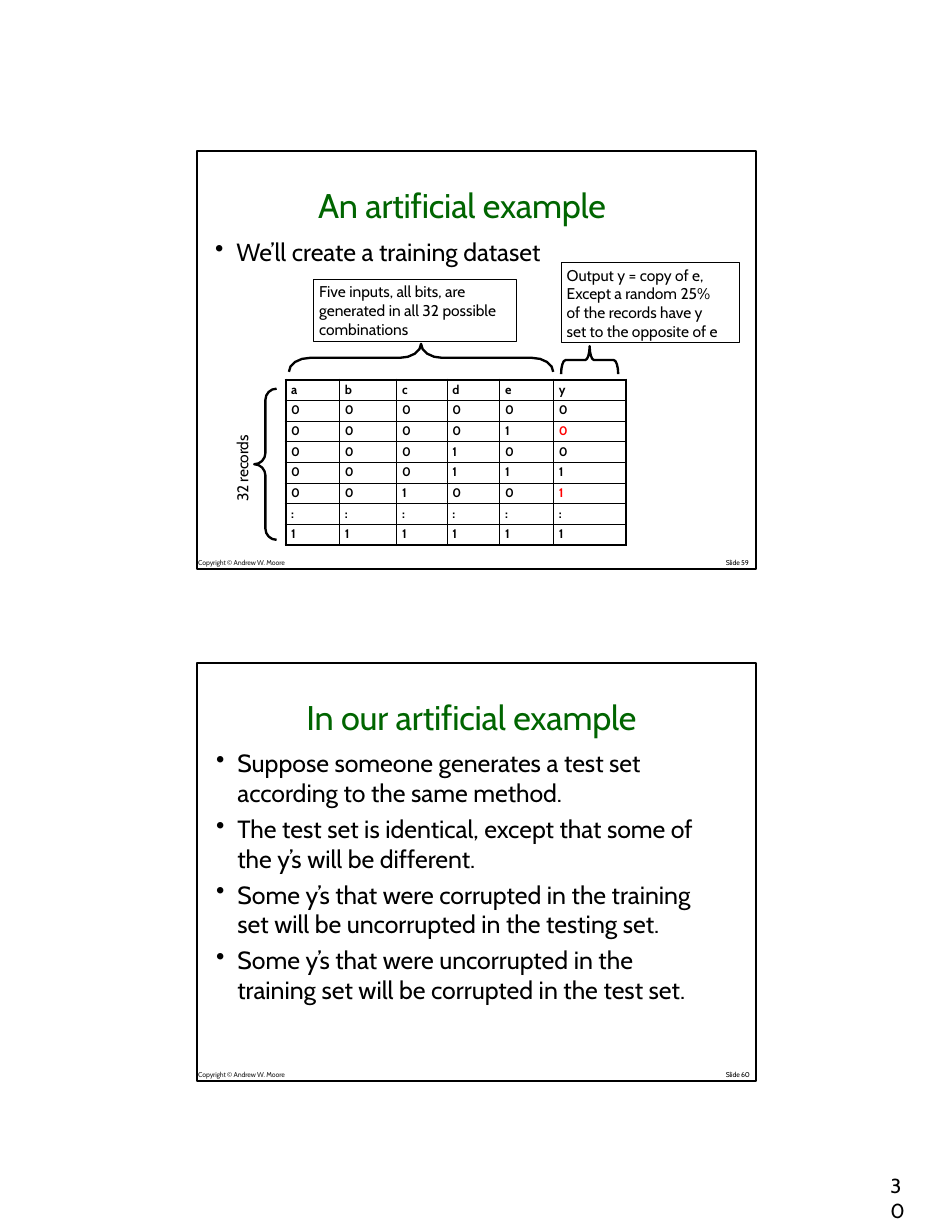
import math
import pptx
import pptx.util
import pptx.dml.color
import pptx.enum.shapes
import pptx.oxml
import pptx.oxml.ns

Inches = pptx.util.Inches
Pt = pptx.util.Pt
hue = pptx.dml.color.RGBColor.from_string
qn = pptx.oxml.ns.qn
ns = pptx.oxml.ns.nsdecls("a")


def write(para, text, size, color="000000", left=0, bullet=False, bold=False, space=0):
    props = para._p.get_or_add_pPr()
    props.set("marL", str(Inches(left)))
    props.set("indent", str(-Inches(0.19) if bullet else 0))
    if bullet:
        props.append(pptx.oxml.parse_xml(f'<a:buChar {ns} char="•"/>'))
    for i, line in enumerate(text.split("\n")):
        if i:
            para.add_line_break()
        run = para.add_run()
        run.text = line
        run.font.name = "Cabin"
        run.font.size = Pt(size)
        run.font.bold = bold
        run.font.color.rgb = hue(color)
        if space:
            run._r.get_or_add_rPr().set("spc", str(space))


def box(left, top, width, height, inset=0.01, line=0):
    kind = pptx.enum.shapes.MSO_SHAPE.RECTANGLE
    area = [Inches(v) for v in (left, top, width, height)]
    if line:
        shape = shapes.add_shape(kind, *area)
        shape.shadow.inherit = False
        shape.fill.background()
        shape.line.color.rgb = hue("000000")
        shape.line.width = Pt(line)
    else:
        shape = shapes.add_textbox(*area)
    frame = shape.text_frame
    frame.word_wrap = True
    frame.vertical_anchor = pptx.enum.text.MSO_ANCHOR.TOP
    frame.margin_left = frame.margin_right = frame.margin_bottom = 0
    frame.margin_top = Inches(inset)
    frame.paragraphs[0].alignment = pptx.enum.text.PP_ALIGN.LEFT
    return frame


deck = pptx.Presentation()
deck.slide_width = Inches(8.5)
deck.slide_height = Inches(11)
shapes = deck.slides.add_slide(deck.slide_layouts[6]).shapes

for top, page in ((1.35, 59), (5.92, 60)):
    box(1.76, top, 4.99, 3.73, line=1.02)
    foot = box(1.77, top + 3.63, 0.89, 0.1)
    write(foot.paragraphs[0], "Copyright © Andrew W. Moore", 4.5, "1B1B1B", space=-10)
    foot = box(6.48, top + 3.63, 0.25, 0.1)
    write(foot.paragraphs[0], f"Slide {page}", 4.5, space=-10)

title = box(2.83, 1.64, 2.75, 0.4)
write(title.paragraphs[0], "An artificial example", 22, "006500", 0.01, space=-10)
intro = box(1.91, 2.1, 3.15, 0.3)
write(intro.paragraphs[0], "We’ll create a training dataset", 16, left=0.2, bullet=True)

rows = ["abcdey", "000000", "000010", "000100", "000111", "001001", "::::::", "111111"]
wides = [0.48, 0.51, 0.45, 0.47, 0.48, 0.65]
red = {(2, 5), (5, 5)}
grid = shapes.add_table(
    len(rows), len(wides), Inches(2.55), Inches(3.39), Inches(sum(wides)), Inches(1.48)
).table
for c, wide in enumerate(wides):
    grid.columns[c].width = Inches(wide)
for r, row in enumerate(rows):
    for c, mark in enumerate(row):
        cell = grid.cell(r, c)
        cell.margin_left = cell.margin_right = cell.margin_bottom = 0
        cell.margin_top = Inches(0.02)
        color = "FF0000" if (r, c) in red else "000000"
        write(cell.text_frame.paragraphs[0], mark, 8, color, 0.05, bold=True)
        outer = {"L": c == 0, "R": c == len(wides) - 1, "T": r == 0, "B": r == len(rows) - 1}
        for side, edge in outer.items():
            cell._tc.get_or_add_tcPr().append(pptx.oxml.parse_xml(
                f'<a:ln{side} {ns} w="{Pt(1.5 if edge else 0.5)}"><a:solidFill>'
                f'<a:srgbClr val="000000"/></a:solidFill></a:ln{side}>'))
        cell.fill.background()

braces = [
    (2.58, 3.32, 2.36, 0.25, 0.19, False),
    (5.01, 3.34, 0.51, 0.25, 0.04, False),
    (2.47, 3.47, 1.35, 0.2, 0.1, True),
]
turns = [math.pi / 8 * i for i in range(5)]
for left, top, span, depth, bend, tall in braces:
    mid = depth / 2
    half = [(bend * (1 - math.cos(t)), mid * math.sin(t)) for t in turns]
    half += [(span / 2 - bend * (1 - math.sin(t)), depth - mid * math.cos(t)) for t in turns]
    curve = half + [(span - u, v) for u, v in half[-2::-1]]
    dots = [(left - v, top + u) if tall else (left + u, top - v) for u, v in curve]
    dots = [(Inches(x), Inches(y)) for x, y in dots]
    pen = shapes.build_freeform(*dots[0])
    pen.add_line_segments(dots[1:], close=False)
    brace = pen.convert_to_shape()
    brace.shadow.inherit = False
    brace.fill.background()
    brace.line.color.rgb = hue("000000")
    brace.line.width = Pt(1.5)

notes = [
    (2.8, 2.49, 1.81, 0.56,
     "Five inputs, all bits, are\ngenerated in all 32 possible\ncombinations"),
    (5.01, 2.34, 1.59, 0.72,
     "Output y = copy of e,\nExcept a random 25%\nof the records have y\nset to the opposite of e"),
]
for *area, text in notes:
    write(box(*area, 0.03, 0.37).paragraphs[0], text, 10, left=0.05)

label = box(2.08, 3.82, 0.2, 0.67)
label._txBody.find(qn("a:bodyPr")).set("vert", "vert270")
write(label.paragraphs[0], "32 records", 10, left=0.01, space=-10)

body = box(1.93, 6.08, 4.56, 2.9, 0.14)
body.paragraphs[0].alignment = pptx.enum.text.PP_ALIGN.CENTER
write(body.paragraphs[0], "In our artificial example", 22, "006500", space=-10)
points = [
    "Suppose someone generates a test set\naccording to the same method.",
    "The test set is identical, except that some of\nthe y’s will be different.",
    "Some y’s that were corrupted in the training\nset will be uncorrupted in the testing set.",
    "Some y’s that were uncorrupted in the\ntraining set will be corrupted in the test set.",
]
for i, point in enumerate(points):
    para = body.add_paragraph()
    para.space_before = Pt(3.8 if i else 6.6)
    write(para, point, 16, left=0.19, bullet=True)

page = box(7.92, 10.47, 0.24, 0.25)
write(page.paragraphs[0], "30", 13, left=0.03)

deck.save("out.pptx")
